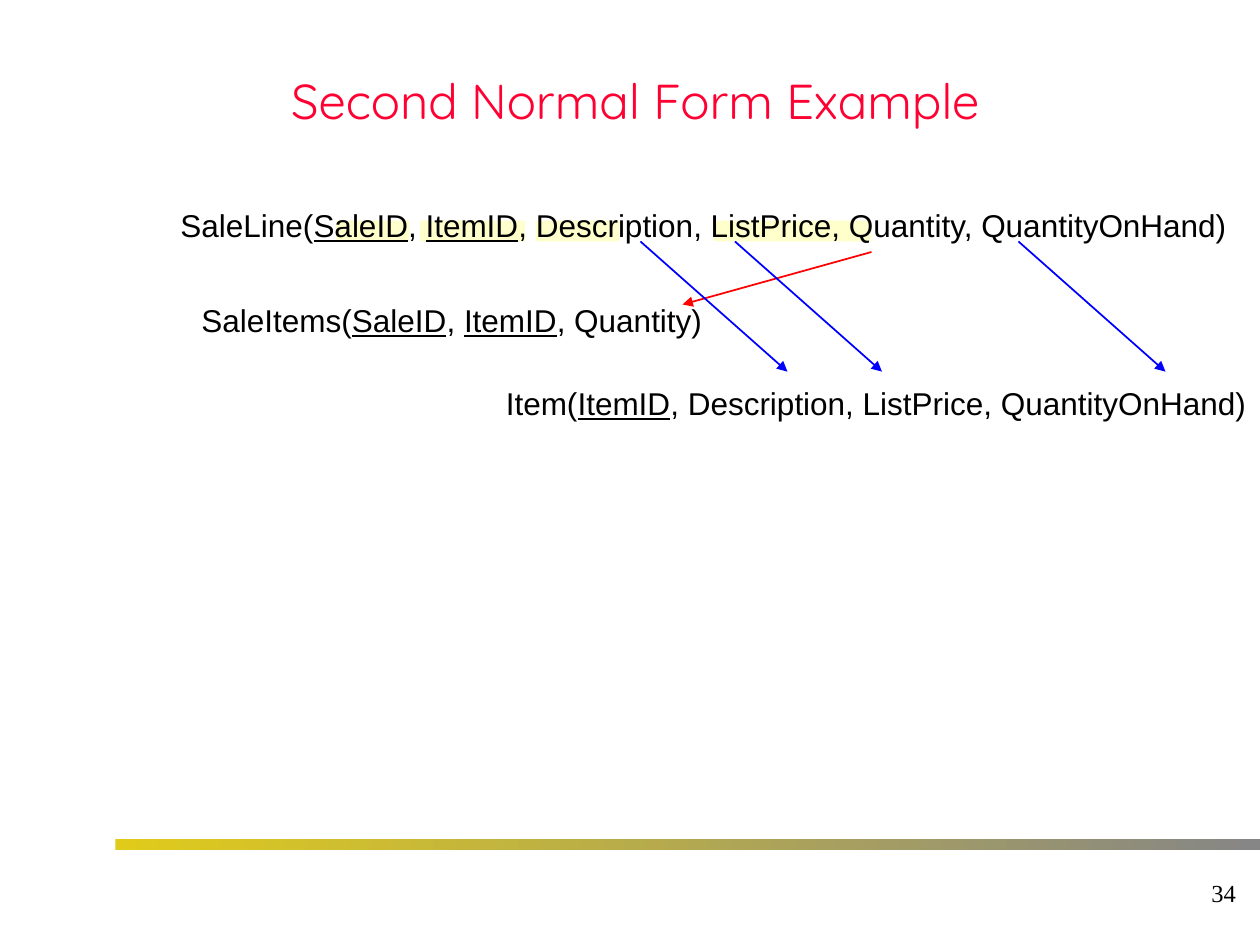
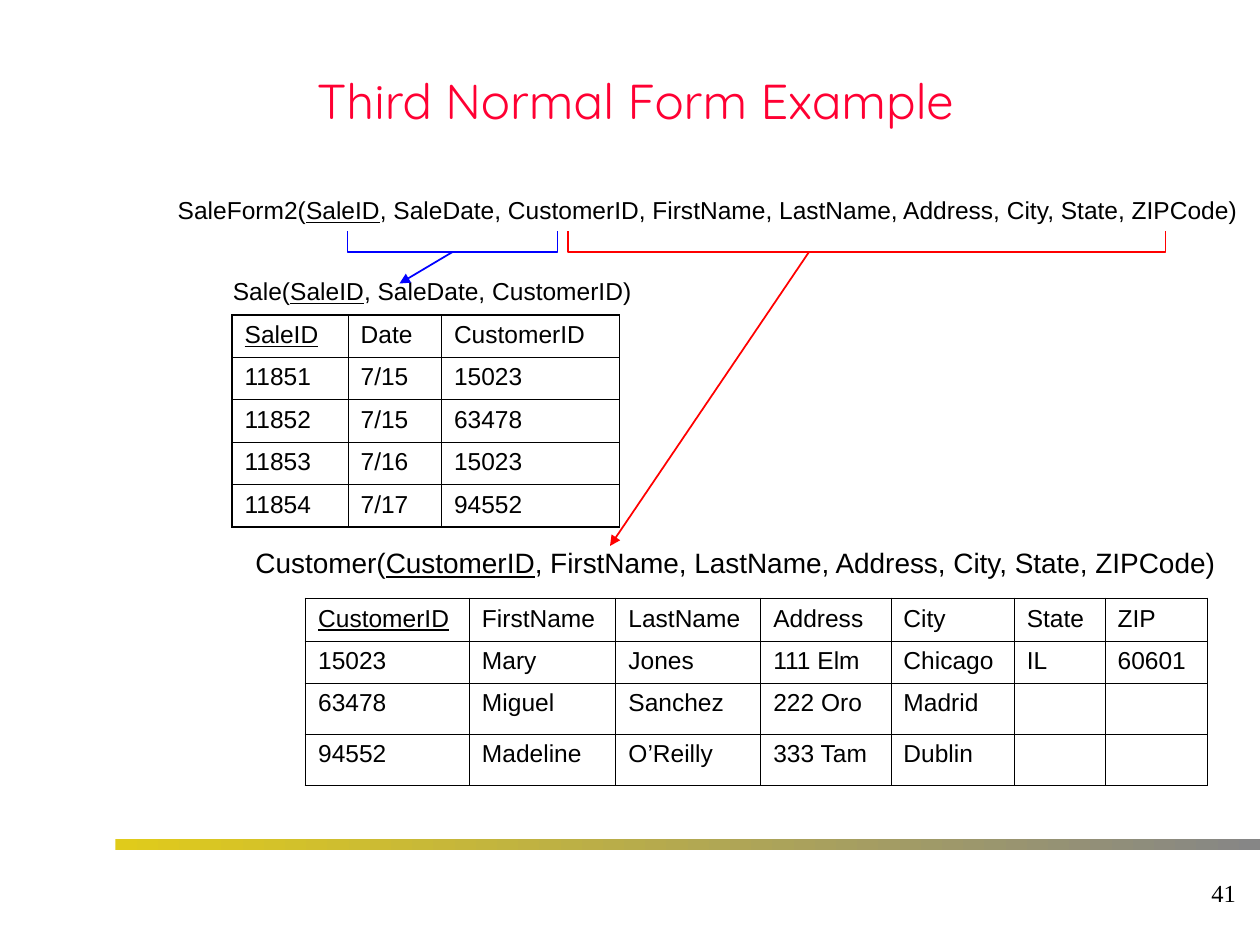
from lxml.etree import SubElement as Sub
from pptx import Presentation
from pptx.dml.color import RGBColor as RGB
from pptx.enum.shapes import MSO_CONNECTOR as Link, MSO_SHAPE as Shape
from pptx.enum.text import MSO_ANCHOR as Anchor, MSO_AUTO_SIZE as Auto, PP_ALIGN as Align
from pptx.oxml.ns import qn
from pptx.util import Inches, Pt

# Page grid: 120 columns by 90 rows, 12 to the inch
COLS, ROWS, UNIT = 120, 90, 12

BLACK = RGB(0x00, 0x00, 0x00)
RED = RGB(0xFF, 0x00, 0x00)
BLUE = RGB(0x00, 0x00, 0xFF)
ROSE = RGB(0xFF, 0x00, 0x33)
CREAM = RGB(0xFF, 0xFF, 0xCC)
GOLD = RGB(0xE0, 0xCB, 0x1B)
GREY = RGB(0x86, 0x86, 0x86)

HEAD = {"name": "Quicksand", "size": Pt(28)}
LARGE = {"name": "Arial", "size": Pt(18)}
MID = {"name": "Arial", "size": Pt(16)}
SMALL = {"name": "Arial", "size": Pt(14)}
PAGE = {"name": "Times New Roman", "size": Pt(14)}

THIN, THICK = 0.45, 1.08
ROW = 4.04

SALES = """_SaleID_|Date|CustomerID
11851|7/15|15023
11852|7/15|63478
11853|7/16|15023
11854|7/17|94552"""

CLIENTS = """_CustomerID_|FirstName|LastName|Address|City|State|ZIP
15023|Mary|Jones|111 Elm|Chicago|IL|60601
63478|Miguel|Sanchez|222 Oro|Madrid||
94552|Madeline|O’Reilly|333 Tam|Dublin||"""


def grid(*cells):
    return [Inches(cell / UNIT) for cell in cells]


def apply(item, form):
    for key, value in form.items():
        setattr(item, key, value)


def write(para, text, form, color=BLACK):
    """Fill a paragraph; words between underscores are underlined keys."""
    for i, part in enumerate(text.split("_")):
        if part:
            run = para.add_run()
            run.text = part
            apply(run.font, {**form, "underline": i % 2 == 1})
            run.font.color.rgb = color


def label(slide, box, text, form):
    frame = slide.shapes.add_textbox(*grid(*box)).text_frame
    apply(frame, {"word_wrap": False, "auto_size": Auto.SHAPE_TO_FIT_TEXT})
    write(frame.paragraphs[0], text, form)
    return frame


def bar(slide, box):
    shape = slide.shapes.add_shape(Shape.RECTANGLE, *grid(*box))
    shape.shadow.inherit = False
    shape.line.fill.background()
    return shape.fill


def arrow(slide, start, end, color):
    link = slide.shapes.add_connector(Link.STRAIGHT, *grid(*start, *end))
    link.line.color.rgb = color
    link.line.width = Pt(1)
    Sub(link.line._get_or_add_ln(), qn("a:tailEnd"), type="triangle")
    Sub(link._element.spPr, qn("a:effectLst"))


def brace(slide, box, color):
    """Open bracket below a run of columns."""
    x, y, w, h = box
    build = slide.shapes.build_freeform(*grid(x, y))
    points = [(x, y + h), (x + w, y + h), (x + w, y)]
    build.add_line_segments([grid(*point) for point in points], close=False)
    shape = build.convert_to_shape()
    shape.shadow.inherit = False
    shape.fill.background()
    shape.line.color.rgb = color
    shape.line.width = Pt(1)


def border(cell, edges):
    props = cell._tc.get_or_add_tcPr()
    for side, width in edges.items():
        line = Sub(props, qn("a:ln" + side), w=str(Pt(width)))
        fill = Sub(line, qn("a:solidFill"))
        Sub(fill, qn("a:srgbClr"), val=str(BLACK))
    cell.fill.background()


def table(slide, x, y, widths, data):
    rows = [line.split("|") for line in data.splitlines()]
    high, wide = len(rows), len(widths)
    box = grid(x, y, sum(widths), ROW * high)
    sheet = slide.shapes.add_table(high, wide, *box).table
    apply(sheet, {"first_row": False, "horz_banding": False})
    for col, width in zip(sheet.columns, widths):
        col.width = grid(width)[0]
    for r, row in enumerate(rows):
        for c, text in enumerate(row):
            cell = sheet.cell(r, c)
            write(cell.text_frame.paragraphs[0], text, SMALL)
            outer = {"L": c == 0, "R": c == wide - 1, "T": r == 0, "B": r == high - 1}
            border(cell, {side: THICK if out else THIN for side, out in outer.items()})


def base(deck, title, page):
    """Slide with the shared title, band and page number."""
    slide = deck.slides.add_slide(deck.slide_layouts[5])
    # Band
    fill = bar(slide, (11, 79.9, COLS - 11, 1.1))
    fill.gradient()
    fill.gradient_angle = 0
    for stop, color in zip(fill.gradient_stops, (GOLD, GREY)):
        stop.color.rgb = color
    # Page number
    frame = label(slide, (94, 82, 24.9, 6), page, PAGE)
    apply(frame, {"auto_size": Auto.NONE, "vertical_anchor": Anchor.MIDDLE})
    frame.paragraphs[0].alignment = Align.RIGHT
    # Title
    head = slide.shapes.title
    apply(head, dict(zip(("left", "top", "width", "height"), grid(3, 2, 115, 15))))
    apply(head.text_frame, {"vertical_anchor": Anchor.MIDDLE, "auto_size": Auto.NONE})
    para = head.text_frame.paragraphs[0]
    para.alignment = Align.CENTER
    write(para, title, HEAD, ROSE)
    return slide


def second(slide, x, y):
    """SaleLine split into SaleItems and Item."""
    # Highlights
    for left, width in ((52, 15), (35, 8), (24, 10), (16, 7)):
        fill = bar(slide, (x + left, y + 2, width, 2))
        fill.solid()
        fill.fore_color.rgb = CREAM
    # Relations
    for left, top, width, text in (
        (0, 0.05, 102.4, "SaleLine(_SaleID_, _ItemID_, Description, ListPrice, Quantity, QuantityOnHand)"),
        (2, 9.05, 50.5, "SaleItems(_SaleID_, _ItemID_, Quantity)"),
        (31, 17, 73.4, "Item(_ItemID_, Description, ListPrice, QuantityOnHand)"),
    ):
        label(slide, (x + left, y + top, width, 4.8), text, LARGE)
    # Moves of columns
    arrow(slide, (x + 67, y + 5), (x + 49, y + 10), RED)
    for left in (45, 54, 81):
        arrow(slide, (x + left, y + 4), (x + left + 14, y + 16.4), BLUE)


def third(slide, x, y):
    """SaleForm2 split into Sale and Customer."""
    # Tables
    table(slide, x + 6.1, y + 12, (11.05, 8.9, 16.95), SALES)
    table(slide, x + 13.1, y + 39, (15.6, 13.95, 13.8, 12.4, 11.75, 8.65, 9.75), CLIENTS)
    # Relations
    for left, top, width, form, text in (
        (-0.25, 0, 103.9, SMALL,
         "SaleForm2(_SaleID_, SaleDate, CustomerID, FirstName, LastName, Address, City, State, ZIPCode)"),
        (5, 7.7, 40.9, SMALL, "Sale(_SaleID_, SaleDate, CustomerID)"),
        (7.15, 33.4, 94.4, MID,
         "Customer(_CustomerID_, FirstName, LastName, Address, City, State, ZIPCode)"),
    ):
        label(slide, (x + left, y + top, width, 4.1), text, form)
    # Brackets and their arrows
    for left, width, start, end, color in (
        (17.1, 20, 27.1, (22.05, 9), BLUE),
        (38.1, 56.9, 61.05, (42.1, 34), RED),
    ):
        brace(slide, (x + left, y + 4, width, 2), color)
        arrow(slide, (x + start, y + 6), (x + end[0], y + end[1]), color)


def main():
    deck = Presentation()
    deck.slide_width, deck.slide_height = grid(COLS, ROWS)
    second(base(deck, "Second Normal Form Example", "34"), 16, 19)
    third(base(deck, "Third Normal Form Example", "41"), 16, 18)
    deck.save("out.pptx")


if __name__ == "__main__":
    main()
